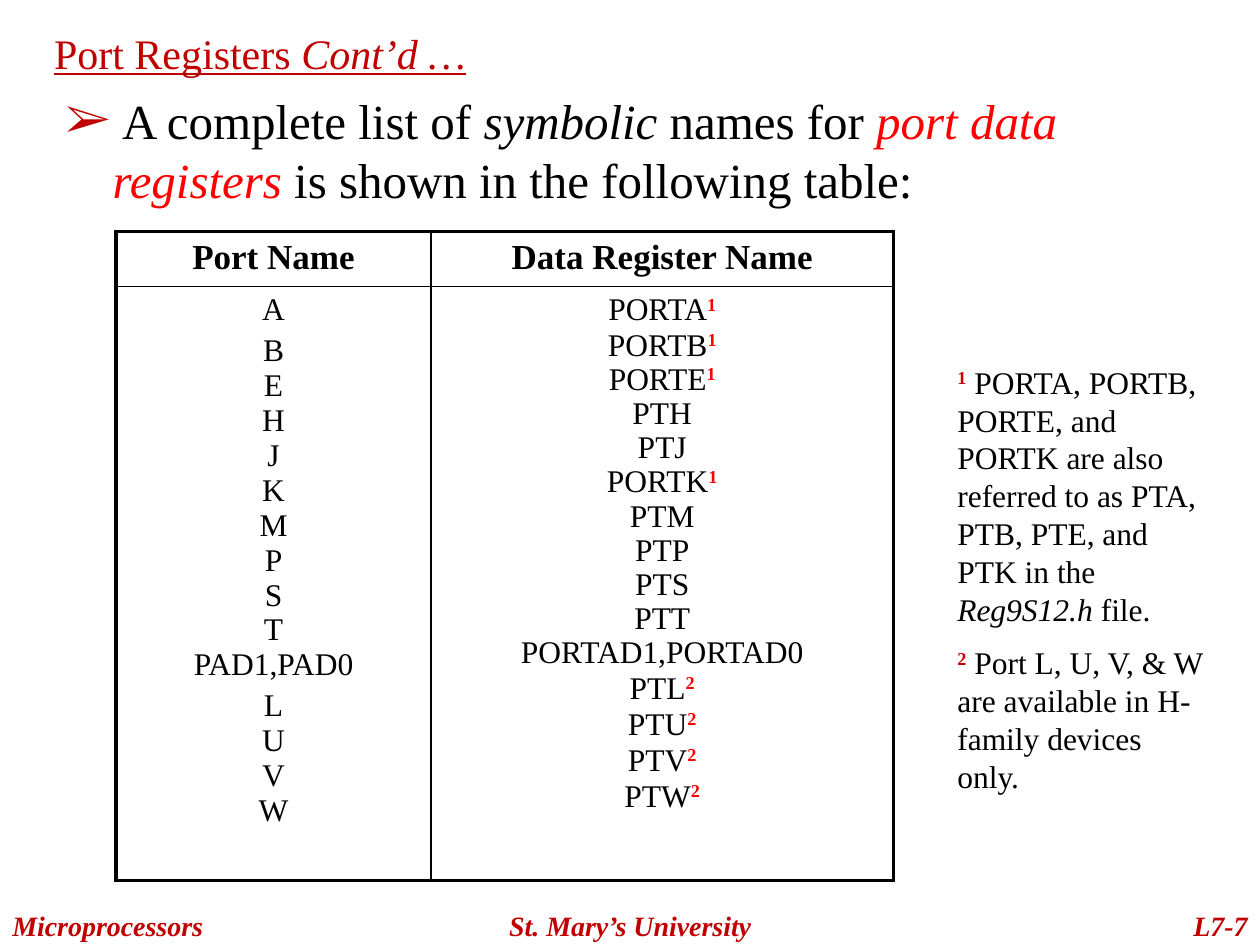
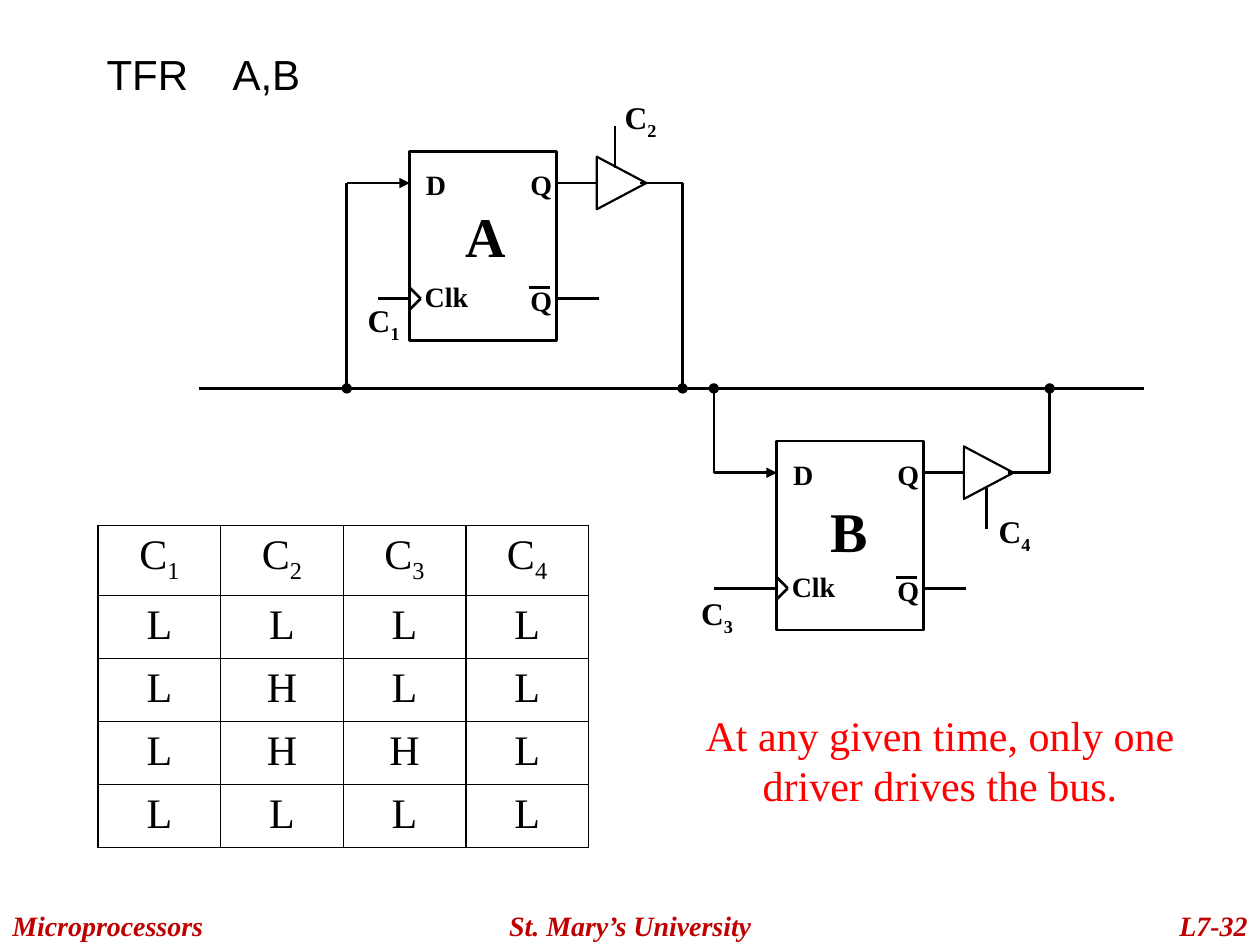
from lxml import etree
from pptx import Presentation
from pptx.dml.color import RGBColor
from pptx.enum import shapes, text
from pptx.oxml import ns
from pptx.util import Cm, Pt

SERIF, SANS = "Times New Roman", "Arial"
BLACK, WHITE, RED, CRIMSON, NOTE_RED = "000000", "FFFFFF", "FF0000", "C00000", "CC0000"
LEFT, CENTER, RIGHT = text.PP_ALIGN.LEFT, text.PP_ALIGN.CENTER, text.PP_ALIGN.RIGHT


def rgb(value):
    """Turn a hex string into a colour."""
    return RGBColor.from_string(value)


def sub(parent, tag, **attrs):
    """Append a DrawingML element with attributes."""
    el = etree.SubElement(parent, ns.qn(tag))
    for key, value in attrs.items():
        el.set(key, str(value))
    return el


def put(p, content, size=18, font=SERIF, color=BLACK, bold=False, italic=False,
        underline=False, base=0, align=LEFT, before=0, spacing=None):
    """Fill a paragraph from a string or a list of (text, changes) parts."""
    p.alignment = align
    p.space_before = Pt(before)
    if spacing:
        p.line_spacing = spacing
    parts = [(content, {})] if isinstance(content, str) else content
    for words, changes in parts:
        fmt = dict(color=color, bold=bold, italic=italic, base=base) | changes
        for i, line in enumerate(words.split("\n")):
            if i:
                p.add_line_break()
            r = p.add_run()
            r.text = line
            r.font.size, r.font.name = Pt(size), font
            r.font.bold, r.font.italic = fmt["bold"], fmt["italic"]
            r.font.underline = underline
            r.font.color.rgb = rgb(fmt["color"])
            if fmt["base"]:
                r.font._element.set("baseline", str(fmt["base"] * 1000))


def add_text(s, x, y, w, h, content, **fmt):
    """Add a wrapped text box and return its first paragraph."""
    tf = s.shapes.add_textbox(Cm(x), Cm(y), Cm(w), Cm(h)).text_frame
    tf.word_wrap = True
    put(tf.paragraphs[0], content, **fmt)
    return tf.paragraphs[0]


def add_line(s, x1, y1, x2, y2, width=1.5, end=None):
    """Draw a black straight line with an optional end mark."""
    c = s.shapes.add_connector(shapes.MSO_CONNECTOR.STRAIGHT, Cm(x1), Cm(y1), Cm(x2), Cm(y2))
    c.line.color.rgb, c.line.width = rgb(BLACK), Pt(width)
    if end:
        sub(c.line._get_or_add_ln(), "a:tailEnd", type=end)
    sub(c._element.spPr, "a:effectLst")


def add_preset(s, kind, x, y, w, h, width):
    """Draw a white preset shape with a black outline."""
    sp = s.shapes.add_shape(kind, Cm(x), Cm(y), Cm(w), Cm(h))
    sp.shadow.inherit = False
    sp.fill.solid()
    sp.fill.fore_color.rgb = rgb(WHITE)
    sp.line.color.rgb, sp.line.width = rgb(BLACK), Pt(width)
    return sp


def add_grid(s, x, y, widths, heights, outer):
    """Add a plain table with thin inner rules and an outer frame."""
    rows, cols = len(heights), len(widths)
    table = s.shapes.add_table(rows, cols, Cm(x), Cm(y), Cm(sum(widths)), Cm(sum(heights))).table
    table.first_row = table.horz_banding = False
    for column, width in zip(table.columns, widths):
        column.width = Cm(width)
    for row, height in zip(table.rows, heights):
        row.height = Cm(height)
    for i in range(rows):
        for j in range(cols):
            cell = table.cell(i, j)
            edges = {"a:lnL": j == 0, "a:lnR": j == cols - 1,
                     "a:lnT": i == 0, "a:lnB": i == rows - 1}
            for tag, is_outer in edges.items():
                ln = sub(cell._tc.get_or_add_tcPr(), tag, w=Pt(outer if is_outer else 1))
                sub(sub(ln, "a:solidFill"), "a:srgbClr", val=BLACK)
            cell.fill.background()
    return table


def add_footer(s, number):
    """Add the course, university and page labels."""
    for x, w, words, align in ((0, 5.08, "Microprocessors", LEFT),
                               (8.68, 8.05, "St. Mary’s University", CENTER),
                               (21.38, 4.02, number, RIGHT)):
        add_text(s, x, 18.2, w, 0.85, words, size=16, color=CRIMSON,
                 bold=True, italic=True, align=align)


def marked(name, mark, color, base):
    """Return a name followed by a raised or lowered mark."""
    return [(name, {}), (mark, dict(color=color, bold=True, base=base))]


def register_table(s, x, y):
    """Add the table of ports and their data registers."""
    table = add_grid(s, x, y, [6.35, 9.32], [1.1, 11.98], 2.25)
    for j, heading in enumerate(("Port Name", "Data Register Name")):
        put(table.cell(0, j).text_frame.paragraphs[0], heading, size=20, bold=True, align=CENTER)
    ports = [("A", None), ("B\nE\nH\nJ\nK\nM\nP\nS\nT\nPAD1,PAD0", None), ("L\nU\nV\nW", None)]
    names = ("PORTA1 PORTB1 PORTE1 PTH PTJ PORTK1 PTM PTP PTS PTT "
             "PORTAD1,PORTAD0 PTL2 PTU2 PTV2 PTW2").split()
    registers = []
    for i, name in enumerate(names):
        spacing = None if i == 0 else 0.85 if name.endswith("2") else 0.8
        has_mark = name[-1] in "12"
        registers.append((marked(name[:-1], name[-1], RED, 30) if has_mark else name, spacing))
    for j, entries in enumerate((ports, registers)):
        tf = table.cell(1, j).text_frame
        for i, (content, spacing) in enumerate(entries):
            p = tf.add_paragraph() if i else tf.paragraphs[0]
            put(p, content, align=CENTER, before=3.6 if i else 0, spacing=spacing)


def footnotes(s, x, y, w, h):
    """Add the two notes beside the register table."""
    mark = dict(color=NOTE_RED, bold=True, base=30)
    tf = s.shapes.add_textbox(Cm(x), Cm(y), Cm(w), Cm(h)).text_frame
    tf.word_wrap = True
    put(tf.paragraphs[0], [
        ("1", mark),
        (" PORTA, PORTB, PORTE, and PORTK are also referred to as PTA, PTB, PTE, and PTK in the ", {}),
        ("Reg9S12.h", dict(italic=True)), (" file.", {})])
    put(tf.add_paragraph(), [
        ("2", mark), (" Port L, U, V, & W are available in H-family devices only.", {})], before=9)


def registers_slide(prs):
    """Build the slide on port data registers."""
    s = prs.slides.add_slide(prs.slide_layouts[6])
    add_text(s, 0.84, 0.43, 23.06, 1.27,
             [("Port Registers ", {}), ("Cont’d …", dict(italic=True))],
             size=24, color=CRIMSON, underline=True)
    p = add_text(s, 1.07, 1.7, 23.29, 2.74, [
        (" A complete list of ", {}), ("symbolic", dict(italic=True)), (" names for ", {}),
        ("port data registers", dict(color=RED, italic=True)),
        (" is shown in the following table:", {})], size=28)
    pPr = p._p.get_or_add_pPr()
    pPr.set("marL", str(Cm(0.95)))
    pPr.set("indent", str(-Cm(0.95)))
    sub(sub(pPr, "a:buClr"), "a:srgbClr", val=CRIMSON)
    sub(pPr, "a:buFont", typeface=SERIF)
    sub(pPr, "a:buChar", char="➢")
    register_table(s, 2.34, 4.67)
    footnotes(s, 19.05, 7.19, 5.51, 9.04)
    add_footer(s, "L7-7")


def latch(s, x, y, bus_y, name, name_at, clock, clock_at, clock_lead, enable, enable_at, enable_line):
    """Draw a latch with its bus driver, wired to the bus."""
    w, h, data_y, clock_y, lead, out = 2.96, 3.81, 0.64, 2.97, 1.27, 5.5

    def line(x1, y1, x2, y2, end=None):
        """Draw a line relative to the latch corner."""
        add_line(s, x + x1, y + y1, x + x2, y + y2, end=end)

    def label(at, box_w, box_h, content, size):
        """Add a bold label relative to the latch corner."""
        add_text(s, x + at[0], y + at[1], box_w, box_h, content, size=size, bold=True, align=CENTER)

    add_preset(s, shapes.MSO_SHAPE.RECTANGLE, x, y, w, h, 1.5)
    line(-lead, data_y, 0, data_y, "triangle")
    for dy in (-0.22, 0.22):
        line(0, clock_y + dy, 0.22, clock_y)
    line(0, clock_y, -clock_lead, clock_y)
    for row in (data_y, clock_y):
        line(w, row, w + 0.85, row)
    for at, box_w, words in (((0, 0.21), 1.06, "D"), ((0, 2.46), 1.48, "Clk"),
                             ((2.12, 0.21), 1.06, "Q"), ((2.12, 2.54), 1.06, "Q")):
        label(at, box_w, 0.94, words, 16)
    line(2.4, 2.75, 2.82, 2.75)
    driver = add_preset(s, shapes.MSO_SHAPE.ISOSCELES_TRIANGLE, x + 3.74, y + 0.14, 1.06, 1, 1.25)
    driver.rotation = 90
    line(4.65, data_y, out, data_y)
    enable_x, start, stop = enable_line
    line(enable_x, start, enable_x, stop)
    for drop_x in (-lead, out):
        line(drop_x, data_y, drop_x, bus_y - y, "oval")
    label(name_at, 1.78, 1.63, name, 32)
    for number, at in ((clock, clock_at), (enable, enable_at)):
        label(at, 1.19, 1.02, marked("C", number, BLACK, -25), 18)


def control_table(s, x, y):
    """Add the table of control signal levels."""
    table = add_grid(s, x, y, [2.47] * 4, [1.41] + [1.27] * 4, 1)
    heading = [[("C", {}), (n, dict(base=-25))] for n in "1234"]
    for i, row in enumerate([heading, "LLLL", "LHLL", "LHHL", "LLLL"]):
        for j, content in enumerate(row):
            put(table.cell(i, j).text_frame.paragraphs[0], content, size=24, align=CENTER)


def transfer_slide(prs):
    """Build the slide on the register transfer over a bus."""
    s = prs.slides.add_slide(prs.slide_layouts[6])
    bus_y = 7.83
    add_footer(s, "L7-32")
    add_text(s, 1.9, 0.85, 19.05, 1.27, "TFR\tA,B", size=24, font=SANS)
    add_line(s, 4.02, bus_y, 23.07, bus_y, width=2)
    latch(s, 8.26, 3.05, bus_y, "A", (0.64, 0.89), "1", (-1.12, 2.9), 0.64,
          "2", (4.06, -1.19), (4.14, -0.51, 0.33))
    latch(s, 15.66, 8.89, bus_y, "B", (0.57, 0.99), "3", (-1.8, 2.97), 1.27,
          "4", (4.2, 1.3), (4.23, 0.94, 1.78))
    control_table(s, 1.98, 10.59)
    add_text(s, 13.55, 14.18, 10.8, 2.31, "At any given time, only one driver drives the bus.",
             size=24, color=RED, align=CENTER)


def main():
    """Build and save the presentation."""
    prs = Presentation()
    prs.slide_width, prs.slide_height = Cm(25.4), Cm(19.05)
    registers_slide(prs)
    transfer_slide(prs)
    prs.save("out.pptx")


if __name__ == "__main__":
    main()
